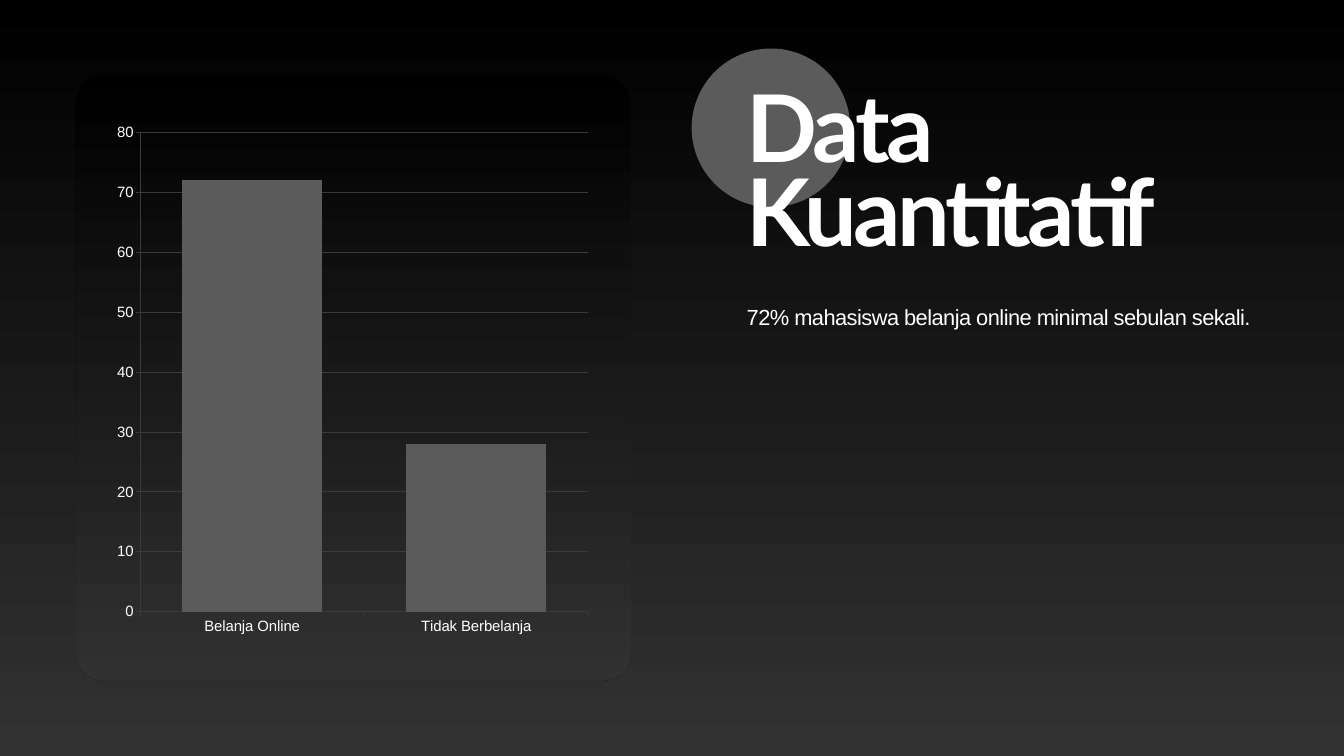
from lxml.etree import SubElement
from pptx import Presentation
from pptx.chart.data import CategoryChartData
from pptx.dml.color import RGBColor
from pptx.enum.chart import XL_CHART_TYPE as ChartType, XL_TICK_MARK as Tick
from pptx.enum.shapes import MSO_SHAPE as Shape
from pptx.enum.text import MSO_ANCHOR as Anchor, MSO_AUTO_SIZE as AutoSize, PP_ALIGN as Align
from pptx.oxml.ns import qn
from pptx.util import Pt

COLORS = {
    "top": "000000",
    "bottom": "323232",
    "accent": "5B5B5B",
    "grid": "3A3A3A",
    "text": "FFFFFF",
}


def rgb(name):
    return RGBColor.from_string(COLORS[name])


def fill_gradient(fill, opacity=100):
    fill.gradient()
    fill.gradient_angle = 270
    for stop, name in zip(fill.gradient_stops, ("top", "bottom")):
        stop.color.rgb = rgb(name)
    if opacity < 100:
        for color in fill._xPr.iter(qn("a:srgbClr")):
            SubElement(color, qn("a:alpha"), val=str(opacity * 1000))


def add_plain_shape(s, kind, x, y, w, h):
    sp = s.shapes.add_shape(kind, Pt(x), Pt(y), Pt(w), Pt(h))
    sp.shadow.inherit = False
    sp.line.fill.background()
    return sp


def fill_placeholder(sp, text, box, font, size, leading, spacing, bold=False):
    sp.left, sp.top, sp.width, sp.height = (Pt(v) for v in box)
    tf = sp.text_frame
    tf.text = text
    tf.word_wrap = True
    tf.auto_size = AutoSize.NONE
    tf.vertical_anchor = Anchor.TOP
    tf.margin_left = tf.margin_top = tf.margin_right = tf.margin_bottom = 0
    p = tf.paragraphs[0]
    pPr = p._p.get_or_add_pPr()
    pPr.set("marL", "0")
    pPr.set("indent", "0")
    SubElement(pPr, qn("a:buNone"))
    p.alignment = Align.LEFT
    p.line_spacing = Pt(leading)
    p.space_before = Pt(0)
    r = p.runs[0]
    r.font.name = font
    r.font.size = Pt(size)
    r.font.bold = bold
    r.font.color.rgb = rgb("text")
    r._r.get_or_add_rPr().set("spc", str(round(spacing * 100)))


def format_line(line):
    line.color.rgb = rgb("grid")
    line.width = Pt(0.75)


def format_font(font, size):
    font.name = "Arial"
    font.size = Pt(size)
    font.color.rgb = rgb("text")


def format_axis(axis):
    axis.major_tick_mark = Tick.OUTSIDE
    axis.minor_tick_mark = Tick.NONE
    format_line(axis.format.line)
    format_font(axis.tick_labels.font, 16)


def add_shopping_chart(s, x, y, w, h):
    data = CategoryChartData()
    data.categories = ["Belanja Online", "Tidak Berbelanja"]
    data.add_series("Series 1", [72, 28])
    chart = s.shapes.add_chart(
        ChartType.COLUMN_CLUSTERED, Pt(x), Pt(y), Pt(w), Pt(h), data
    ).chart
    chart.has_legend = False
    chart.has_title = False
    format_font(chart.font, 18)
    for axis in (chart.category_axis, chart.value_axis):
        format_axis(axis)
    axis = chart.value_axis
    axis.minimum_scale, axis.maximum_scale, axis.major_unit = 0, 80, 10
    format_line(axis.major_gridlines.format.line)
    plot = chart.plots[0]
    plot.vary_by_categories = False
    plot.gap_width = 60
    plot.overlap = -10
    fill = plot.series[0].format.fill
    fill.solid()
    fill.fore_color.rgb = rgb("accent")


def main():
    prs = Presentation()
    prs.slide_width, prs.slide_height = Pt(1440), Pt(810)
    s = prs.slides.add_slide(prs.slide_layouts[1])
    fill_gradient(s.background.fill)

    title, body = s.placeholders
    fill_placeholder(title, "Data Kuantitatif", (800, 104, 560, 180),
                     "Lato", 100, 90, -4, bold=True)
    fill_placeholder(body, "72% mahasiswa belanja online minimal sebulan sekali.",
                     (800, 322, 560, 167), "Arial", 23.4, 31.8, -0.6)

    circle = add_plain_shape(s, Shape.OVAL, 741, 52, 170, 170)
    circle.fill.solid()
    circle.fill.fore_color.rgb = rgb("accent")
    title.element.addprevious(circle.element)

    card = add_plain_shape(s, Shape.ROUNDED_RECTANGLE, 81, 81, 595, 648)
    card.adjustments[0] = 0.05
    fill_gradient(card.fill, opacity=80)
    add_shopping_chart(s, 115, 122, 526, 569)

    prs.save("out.pptx")


if __name__ == "__main__":
    main()
